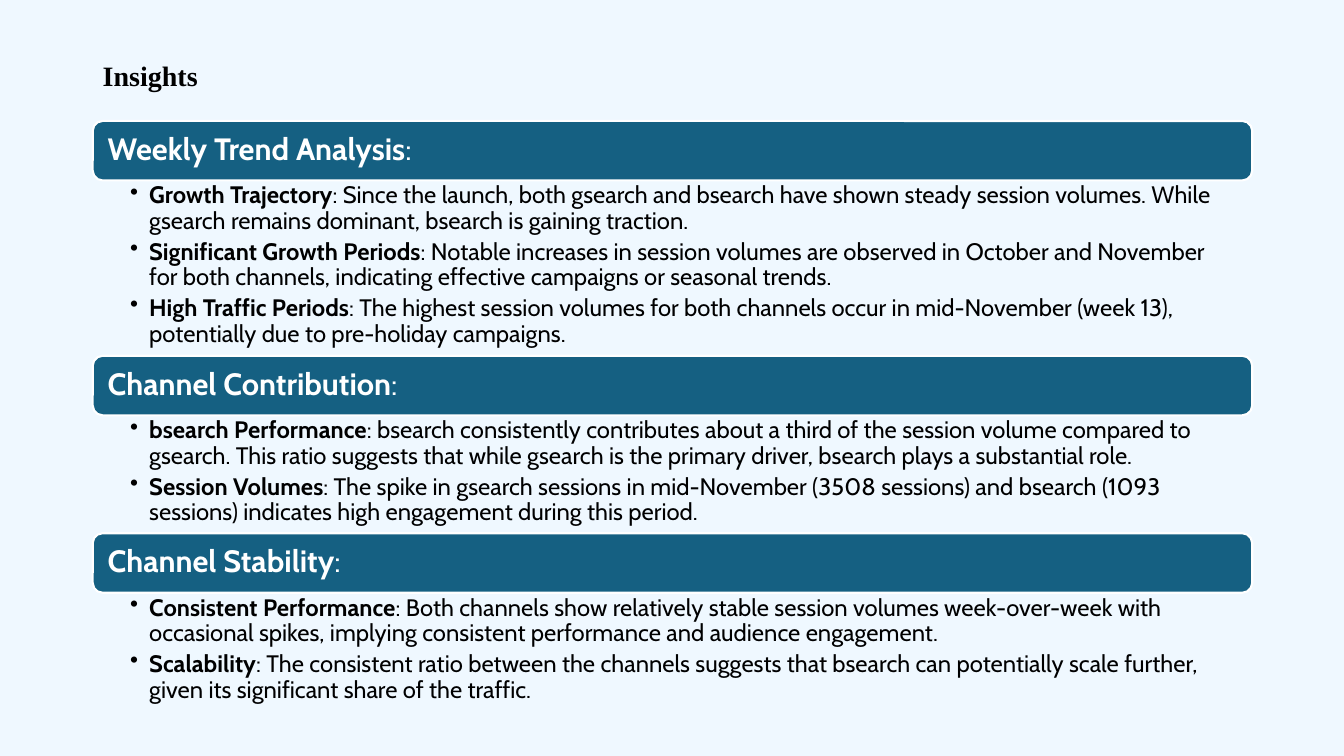
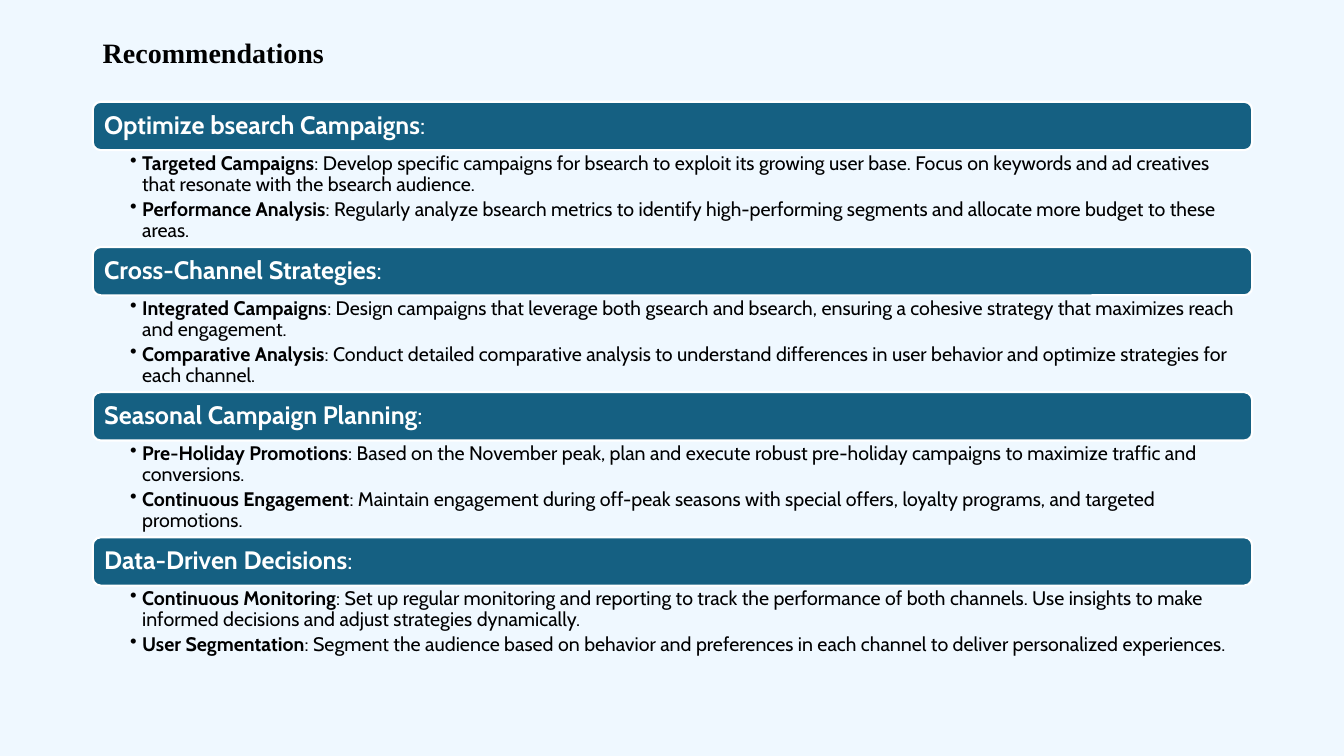
from dataclasses import dataclass

from lxml import etree
from pptx import Presentation
from pptx.dml.color import RGBColor
from pptx.enum import shapes, text
from pptx.oxml import ns
from pptx.util import Inches, Pt

# Shared look
BACKGROUND = RGBColor(0xEF, 0xF8, 0xFF)
BAND = RGBColor(0x15, 0x60, 0x82)
WHITE = RGBColor(0xFF, 0xFF, 0xFF)
BLACK = RGBColor(0x00, 0x00, 0x00)
TITLE_FONT = "Times New Roman"
BODY_FONT = "Cabin"
LEFT, WIDTH = 0.92, 11.5
TITLE_HEIGHT = 0.73


@dataclass(frozen=True)
class Layout:
    """Measures of one slide: lengths in inches, text sizes in points."""
    title_top: float
    first_band_top: float
    band_height: float
    band_inset: float
    heading_size: int
    body_size: int
    right_inset: float
    hanging: float


@dataclass(frozen=True)
class Section:
    heading: str
    body_height: float
    bullets: tuple[tuple[str, str], ...]


INSIGHTS_LAYOUT = Layout(0.4, 1.2, 0.59, 0.12, 22, 17, 0.17, 0.19)
INSIGHTS = (
    Section("Weekly Trend Analysis", 1.74, (
        ("Growth Trajectory",
         "Since the launch, both gsearch and bsearch have shown steady session volumes. "
         "While gsearch remains dominant, bsearch is gaining traction."),
        ("Significant Growth Periods",
         "Notable increases in session volumes are observed in October and November "
         "for both channels, indicating effective campaigns or seasonal trends."),
        ("High Traffic Periods",
         "The highest session volumes for both channels occur in mid-November (week 13), "
         "potentially due to pre-holiday campaigns."),
    )),
    Section("Channel Contribution", 1.17, (
        ("bsearch Performance",
         "bsearch consistently contributes about a third of the session volume compared to "
         "gsearch. This ratio suggests that while gsearch is the primary driver, "
         "bsearch plays a substantial role."),
        ("Session Volumes",
         "The spike in gsearch sessions in mid-November (3508 sessions) and bsearch "
         "(1093 sessions) indicates high engagement during this period."),
    )),
    Section("Channel Stability", 1.17, (
        ("Consistent Performance",
         "Both channels show relatively stable session volumes week-over-week with "
         "occasional spikes, implying consistent performance and audience engagement."),
        ("Scalability",
         "The consistent ratio between the channels suggests that bsearch can potentially "
         "scale further, given its significant share of the traffic."),
    )),
)

RECOMMENDATIONS_LAYOUT = Layout(0.18, 1.01, 0.48, 0.09, 18, 14, 0.14, 0.12)
RECOMMENDATIONS = (
    Section("Optimize bsearch Campaigns", 0.96, (
        ("Targeted Campaigns",
         "Develop specific campaigns for bsearch to exploit its growing user base. "
         "Focus on keywords and ad creatives that resonate with the bsearch audience."),
        ("Performance Analysis",
         "Regularly analyze bsearch metrics to identify high-performing segments and "
         "allocate more budget to these areas."),
    )),
    Section("Cross-Channel Strategies", 0.96, (
        ("Integrated Campaigns",
         "Design campaigns that leverage both gsearch and bsearch, ensuring a cohesive "
         "strategy that maximizes reach and engagement."),
        ("Comparative Analysis",
         "Conduct detailed comparative analysis to understand differences in user behavior "
         "and optimize strategies for each channel."),
    )),
    Section("Seasonal Campaign Planning", 0.96, (
        ("Pre-Holiday Promotions",
         "Based on the November peak, plan and execute robust pre-holiday campaigns to "
         "maximize traffic and conversions."),
        ("Continuous Engagement",
         "Maintain engagement during off-peak seasons with special offers, loyalty "
         "programs, and targeted promotions."),
    )),
    Section("Data-Driven Decisions", 0.96, (
        ("Continuous Monitoring",
         "Set up regular monitoring and reporting to track the performance of both "
         "channels. Use insights to make informed decisions and adjust strategies "
         "dynamically."),
        ("User Segmentation",
         "Segment the audience based on behavior and preferences in each channel to "
         "deliver personalized experiences."),
    )),
)


# Text helpers
def write(para, bold_text: str, plain_text: str = "", *, size: int, color: RGBColor,
          font: str = BODY_FONT, after: float = 0, hanging: float = 0) -> None:
    """Fill a paragraph with a bold lead and plain text, bulleted if hanging is set."""
    para.alignment = text.PP_ALIGN.LEFT
    para.line_spacing = 0.9
    para.space_before = Pt(0)
    para.space_after = Pt(after)
    if hanging:
        properties = para._p.get_or_add_pPr()
        properties.set("marL", str(Inches(hanging)))
        properties.set("indent", str(-Inches(hanging)))
        etree.SubElement(properties, ns.qn("a:buChar")).set("char", "•")
    for words, bold in ((bold_text, True), (plain_text, False)):
        if words:
            span = para.add_run()
            span.text = words
            span.font.name = font
            span.font.size = Pt(size)
            span.font.bold = bold
            span.font.color.rgb = color


def set_frame(box, *, left: float, right: float, vertical: float, anchor):
    """Set wrapping, insets and anchor of a shape's text and return its frame."""
    frame = box.text_frame
    frame.word_wrap = True
    frame.auto_size = text.MSO_AUTO_SIZE.NONE
    frame.vertical_anchor = anchor
    frame.margin_left, frame.margin_right = Inches(left), Inches(right)
    frame.margin_top = frame.margin_bottom = Inches(vertical)
    return frame


# Slide parts
def add_title(page, title: str, top: float) -> None:
    box = page.shapes.add_textbox(Inches(LEFT), Inches(top), Inches(WIDTH), Inches(TITLE_HEIGHT))
    frame = set_frame(box, left=0.1, right=0.1, vertical=0.05, anchor=text.MSO_ANCHOR.MIDDLE)
    write(frame.paragraphs[0], title, size=20, color=BLACK, font=TITLE_FONT)


def add_band(page, heading: str, top: float, layout: Layout) -> None:
    band = page.shapes.add_shape(shapes.MSO_SHAPE.ROUNDED_RECTANGLE, Inches(LEFT), Inches(top),
                                 Inches(WIDTH), Inches(layout.band_height))
    band.shadow.inherit = False
    band.fill.solid()
    band.fill.fore_color.rgb = BAND
    band.line.color.rgb = WHITE
    band.line.width = Pt(1.5)
    inset = layout.band_inset
    frame = set_frame(band, left=inset, right=inset, vertical=inset,
                      anchor=text.MSO_ANCHOR.MIDDLE)
    write(frame.paragraphs[0], heading, ":", size=layout.heading_size, color=WHITE,
          after=0.35 * layout.heading_size)


def add_bullets(page, section: Section, top: float, layout: Layout) -> None:
    box = page.shapes.add_textbox(Inches(LEFT), Inches(top), Inches(WIDTH),
                                  Inches(section.body_height))
    frame = set_frame(box, left=0.37, right=layout.right_inset, vertical=0.03,
                      anchor=text.MSO_ANCHOR.TOP)
    for index, (lead, detail) in enumerate(section.bullets):
        para = frame.add_paragraph() if index else frame.paragraphs[0]
        write(para, lead, f": {detail}", size=layout.body_size, color=BLACK,
              after=0.2 * layout.body_size, hanging=layout.hanging)


def add_page(deck, title: str, sections: tuple[Section, ...], layout: Layout) -> None:
    page = deck.slides.add_slide(deck.slide_layouts[6])
    add_title(page, title, layout.title_top)
    top = layout.first_band_top
    for section in sections:
        add_band(page, section.heading, top, layout)
        top += layout.band_height
        add_bullets(page, section, top, layout)
        top += section.body_height


def main() -> None:
    deck = Presentation()
    deck.slide_width, deck.slide_height = Inches(13.33), Inches(7.5)
    backdrop = deck.slide_master.background.fill
    backdrop.solid()
    backdrop.fore_color.rgb = BACKGROUND
    add_page(deck, "Insights", INSIGHTS, INSIGHTS_LAYOUT)
    add_page(deck, "Recommendations", RECOMMENDATIONS, RECOMMENDATIONS_LAYOUT)
    deck.save("out.pptx")


if __name__ == "__main__":
    main()
